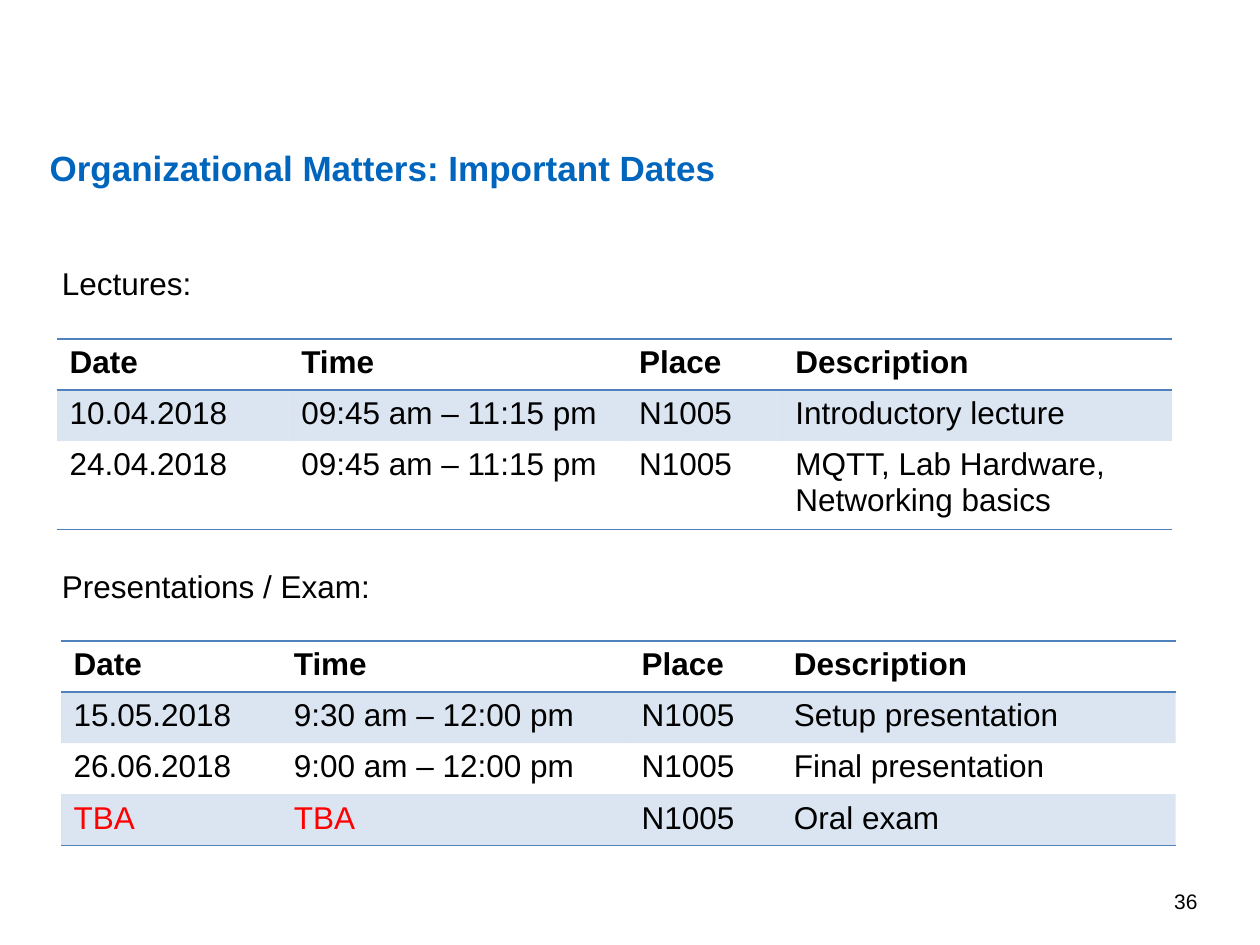
from dataclasses import dataclass

from lxml.etree import SubElement
from pptx import Presentation
from pptx.dml.color import RGBColor
from pptx.enum.text import MSO_ANCHOR, MSO_AUTO_SIZE, PP_ALIGN
from pptx.oxml.ns import qn
from pptx.util import Cm, Pt


@dataclass(frozen=True)
class Theme:
    font: str = "Arial"
    title_color: str = "0065BD"
    text_color: str = "000000"
    alert_color: str = "FF0000"
    accent: str = "4F81BD"
    band_opacity: int = 20
    rule_width: float = 1
    title_size: int = 20
    body_size: int = 18
    number_size: int = 12
    plain_table: str = "{2D5ABB26-0587-4C30-8999-92F81FD0307C}"


class SlideBuilder:
    def __init__(self, slide, theme):
        self.slide = slide
        self.theme = theme

    def add_run(self, paragraph, text, size, color, bold=False):
        run = paragraph.add_run()
        run.text = text
        run.font.name = self.theme.font
        run.font.size = Pt(size)
        run.font.bold = bold
        run.font.color.rgb = RGBColor.from_string(color)

    def title(self, text, left, top, width, height):
        title = self.slide.shapes.title
        title.left, title.top, title.width, title.height = map(Cm, (left, top, width, height))
        frame = title.text_frame
        frame.margin_left = frame.margin_top = frame.margin_right = frame.margin_bottom = 0
        frame.vertical_anchor = MSO_ANCHOR.TOP
        frame.auto_size = MSO_AUTO_SIZE.NONE
        paragraph = frame.paragraphs[0]
        paragraph.alignment = PP_ALIGN.LEFT
        paragraph.line_spacing = 1.25
        self.add_run(paragraph, text, self.theme.title_size, self.theme.title_color, bold=True)

    def text(self, text, left, top, width, height, size,
             align=PP_ALIGN.LEFT, anchor=MSO_ANCHOR.TOP):
        box = self.slide.shapes.add_textbox(*map(Cm, (left, top, width, height)))
        frame = box.text_frame
        frame.word_wrap = True
        frame.vertical_anchor = anchor
        paragraph = frame.paragraphs[0]
        paragraph.alignment = align
        self.add_run(paragraph, text, size, self.theme.text_color)

    def rule(self, cell, side):
        """Draw the top (lnT) or bottom (lnB) border of a cell."""
        line = SubElement(cell._tc.get_or_add_tcPr(), qn(f"a:{side}"),
                          w=str(Pt(self.theme.rule_width)))
        fill = SubElement(line, qn("a:solidFill"))
        SubElement(fill, qn("a:srgbClr"), val=self.theme.accent)

    def band(self, cell):
        """Tint a cell with the translucent accent colour."""
        fill = SubElement(cell._tc.get_or_add_tcPr(), qn("a:solidFill"))
        color = SubElement(fill, qn("a:srgbClr"), val=self.theme.accent)
        SubElement(color, qn("a:alpha"), val=str(self.theme.band_opacity * 1000))

    def table(self, rows, left, top, column_widths, row_heights):
        table = self.slide.shapes.add_table(
            len(rows), len(column_widths), Cm(left), Cm(top),
            Cm(sum(column_widths)), Cm(sum(row_heights))).table
        table._tbl.tblPr.find(qn("a:tableStyleId")).text = self.theme.plain_table
        for column, width in zip(table.columns, column_widths):
            column.width = Cm(width)
        for r, (values, height) in enumerate(zip(rows, row_heights)):
            table.rows[r].height = Cm(height)
            for c, value in enumerate(values):
                cell = table.cell(r, c)
                color = self.theme.alert_color if value == "TBA" else self.theme.text_color
                self.add_run(cell.text_frame.paragraphs[0], value,
                             self.theme.body_size, color, bold=r == 0)
                # Borders come before the fill in the cell properties
                if r == 0:
                    self.rule(cell, "lnT")
                if r in (0, len(rows) - 1):
                    self.rule(cell, "lnB")
                if r % 2:
                    self.band(cell)
                else:
                    cell.fill.background()


HEADER = ("Date", "Time", "Place", "Description")
LECTURES = [
    HEADER,
    ("10.04.2018", "09:45 am – 11:15 pm", "N1005", "Introductory lecture"),
    ("24.04.2018", "09:45 am – 11:15 pm", "N1005", "MQTT, Lab Hardware, Networking basics"),
]
EXAMS = [
    HEADER,
    ("15.05.2018", "9:30 am – 12:00 pm", "N1005", "Setup presentation"),
    ("26.06.2018", "9:00 am – 12:00 pm", "N1005", "Final presentation"),
    ("TBA", "TBA", "N1005", "Oral exam"),
]
ROW = 1.03
TALL_ROW = 1.78


def main():
    presentation = Presentation()
    presentation.slide_width, presentation.slide_height = Cm(25.4), Cm(19.05)
    theme = Theme()
    dates = SlideBuilder(
        presentation.slides.add_slide(presentation.slide_layouts[5]), theme)

    # Title and page number
    dates.title("Organizational Matters: Important Dates", 1, 2.75, 20.62, 1)
    dates.text("36", 18.47, 17.65, 5.92, 1.02, theme.number_size,
               PP_ALIGN.RIGHT, MSO_ANCHOR.MIDDLE)

    # Lectures
    dates.text("Lectures:", 1, 5.2, 23.4, 1, theme.body_size)
    dates.table(LECTURES, 1.15, 6.83, (4.67, 6.81, 3.15, 7.85), (ROW, ROW, TALL_ROW))

    # Presentations and exam
    dates.text("Presentations / Exam:", 1, 11.3, 23.4, 1, theme.body_size)
    dates.table(EXAMS, 1.23, 12.92, (4.44, 7.01, 3.07, 7.95), [ROW] * len(EXAMS))

    presentation.save("out.pptx")


if __name__ == "__main__":
    main()
